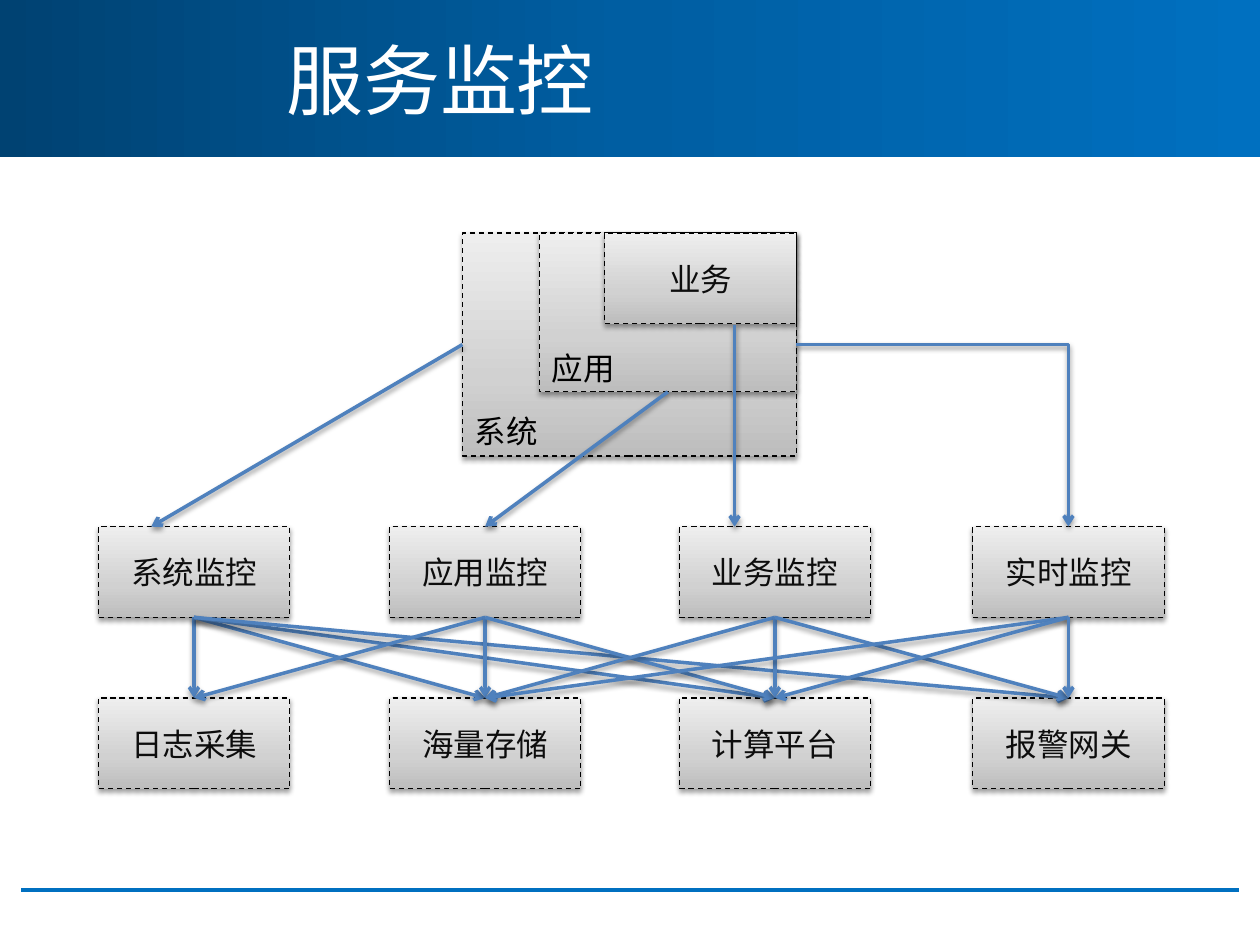
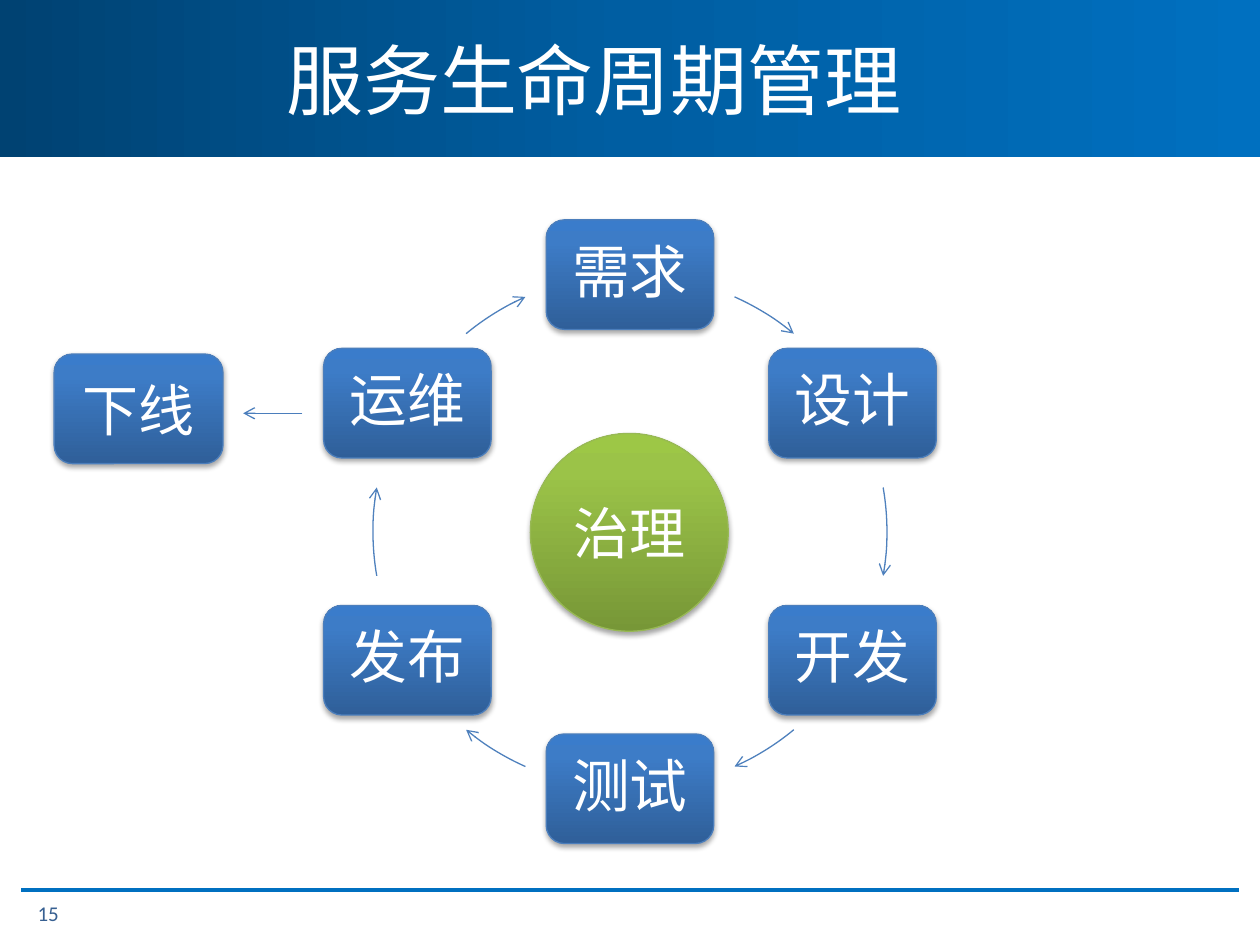
from dataclasses import dataclass
from math import cos, radians, sin

from lxml import etree
from pptx import Presentation
from pptx.dml.color import RGBColor
from pptx.enum.dml import MSO_LINE
from pptx.enum.shapes import MSO_CONNECTOR, MSO_SHAPE
from pptx.enum.text import MSO_ANCHOR, PP_ALIGN
from pptx.oxml.ns import qn
from pptx.util import Inches, Pt

RECT, ROUNDED, OVAL, ARC = (MSO_SHAPE.RECTANGLE, MSO_SHAPE.ROUNDED_RECTANGLE,
                            MSO_SHAPE.OVAL, MSO_SHAPE.ARC)
STRAIGHT, ELBOW = MSO_CONNECTOR.STRAIGHT, MSO_CONNECTOR.ELBOW
LEFT, CENTER, MIDDLE, DASH = PP_ALIGN.LEFT, PP_ALIGN.CENTER, MSO_ANCHOR.MIDDLE, MSO_LINE.DASH
TOP_SIDE, LEFT_SIDE, BOTTOM_SIDE, RIGHT_SIDE = range(4)


@dataclass(frozen=True)
class Theme:
    font = "Calibri"
    title_size, stage_size, hub_size, block_size, page_size = 44, 33, 32, 18, 12
    white, black, ink, page = "FFFFFF", "000000", "0D0D0D", "376092"
    rule, flow = "0070C0", "4F81BD"
    # stops, angle counted anticlockwise, outline, shadow opacity in percent
    band = dict(stops=((0, "004272"), (50, "005EA2"), (100, "0070C0")), angle=0,
                outline=None, shadow=0)
    grey = dict(stops=((0, "BDBDBD"), (35, "D1D1D1"), (100, "EEEEEE")), angle=90,
                outline=dict(color=black, width=0.75, dash=DASH), shadow=38)
    blue = dict(stops=((0, "2F5F99"), (80, "3D7CC7"), (100, "3A7CCB")), angle=90,
                outline=dict(color="4B7EBC", width=0.75), shadow=35)
    green = dict(stops=((0, "779737"), (80, "9BC348"), (100, "9DC746")), angle=90,
                 outline=dict(color="98B955", width=0.75), shadow=35)
    link = dict(color=flow, width=2, arrow=True)
    thin_link = dict(color=flow, width=0.75, arrow=True)
    retire_link = dict(color="4B7EBC", width=0.75, arrow=True)


THEME = Theme()


def draw_style(shape, outline, shadow=0, stops=(), angle=0):
    """Apply gradient, outline, arrowhead and shadow to a shape or connector."""
    properties = shape.element.spPr
    if stops:
        shape.fill.gradient()
        shape.fill.gradient_angle = angle
        stop_list = properties.find(qn("a:gradFill")).find(qn("a:gsLst"))
        stop_list.clear()
        for position, color in stops:
            stop = etree.SubElement(stop_list, qn("a:gs"), pos=str(position * 1000))
            etree.SubElement(stop, qn("a:srgbClr"), val=color)
    if outline:
        shape.line.color.rgb = RGBColor.from_string(outline["color"])
        shape.line.width = Pt(outline["width"])
        if "dash" in outline:
            shape.line.dash_style = outline["dash"]
        if outline.get("arrow"):
            etree.SubElement(properties.find(qn("a:ln")), qn("a:tailEnd"), type="arrow")
    else:
        shape.line.fill.background()
    effects = etree.SubElement(properties, qn("a:effectLst"))
    if shadow:
        cast = etree.SubElement(effects, qn("a:outerShdw"), blurRad=str(Pt(3.1)),
                                dist=str(Pt(1.7)), dir="5400000", rotWithShape="0")
        color = etree.SubElement(cast, qn("a:srgbClr"), val=THEME.black)
        etree.SubElement(color, qn("a:alpha"), val=str(shadow * 1000))


def write(shape, text, size, color, align=CENTER, anchor=MIDDLE, spacing=None, wrap=True):
    frame = shape.text_frame
    frame.word_wrap, frame.vertical_anchor = wrap, anchor
    paragraph = frame.paragraphs[0]
    paragraph.text = text
    paragraph.alignment, paragraph.line_spacing = align, spacing
    for name, value in dict(name=THEME.font, size=Pt(size), bold=False).items():
        setattr(paragraph.font, name, value)
    paragraph.font.color.rgb = RGBColor.from_string(color)


prs = Presentation()
prs.slide_width, prs.slide_height = Inches(10), Inches(7.5)
layout = prs.slide_layouts[5]
monitoring, lifecycle = [prs.slides.add_slide(layout) for _ in range(2)]

# Band and footer rule live on the layout, behind the titles
band = monitoring.shapes.add_shape(RECT, 0, 0, Inches(10), Inches(1.25))
draw_style(band, **THEME.band)
footer_rule = monitoring.shapes.add_connector(
    STRAIGHT, Inches(0.17), Inches(7.06), Inches(9.83), Inches(7.06))
draw_style(footer_rule, dict(color=THEME.rule, width=2.25))
for part in (footer_rule, band):
    layout.shapes.element.insert(2, part.element)

for slide, heading in ((monitoring, "服务监控"), (lifecycle, "服务生命周期管理")):
    title = slide.shapes.title
    placement = dict(left=2.17, top=0, width=7.83, height=1.25)
    for name, value in placement.items():
        setattr(title, name, Inches(value))
    write(title, heading, THEME.title_size, THEME.white, align=LEFT)

# Slide 1: nested scopes, monitors and the platform beneath them
BLOCK_W, BLOCK_H = 1.52, 0.72
MONITOR_TOP, PLATFORM_TOP = 4.18, 5.54
columns = (0.78, 3.09, 5.39, 7.72)
monitors = ("系统监控", "应用监控", "业务监控", "实时监控")
platforms = ("日志采集", "海量存储", "计算平台", "报警网关")

blocks = [(label, left, top, BLOCK_W, BLOCK_H)
          for top, row in ((MONITOR_TOP, monitors), (PLATFORM_TOP, platforms))
          for left, label in zip(columns, row)]
blocks += [("系统", 3.67, 1.85, 2.65, 1.77), ("应用", 4.28, 1.85, 2.04, 1.26),
           ("业务", 4.8, 1.85, BLOCK_W, BLOCK_H)]
scope_labels = {"系统": (3.67, 3.22), "应用": (4.28, 2.72)}

node = {}
for label, *box in blocks:
    node[label] = monitoring.shapes.add_shape(RECT, *map(Inches, box))
    draw_style(node[label], **THEME.grey)
    if label not in scope_labels:
        write(node[label], label, THEME.block_size, THEME.ink)
for label, (left, top) in scope_labels.items():
    caption = monitoring.shapes.add_textbox(
        Inches(left), Inches(top), Inches(0.71), Inches(0.4))
    write(caption, label, THEME.block_size, THEME.black, align=LEFT,
          anchor=MSO_ANCHOR.TOP, wrap=False)

# Each end is a (block, side) pair or a free point
flows = [(STRAIGHT, ("系统", LEFT_SIDE), (1.2, MONITOR_TOP)),
         (STRAIGHT, ("应用", BOTTOM_SIDE), ("应用监控", TOP_SIDE)),
         (STRAIGHT, (5.83, 2.58), (5.83, MONITOR_TOP)),
         (ELBOW, ("系统", RIGHT_SIDE), ("实时监控", TOP_SIDE))]
uses = ((0, 1, 2, 3), (0, 1, 2), (1, 2, 3), (1, 2, 3))
flows += [(STRAIGHT, (monitor, BOTTOM_SIDE), (platforms[index], TOP_SIDE))
          for monitor, used in zip(monitors, uses) for index in used]

for route, start, end in flows:
    points = [(0, 0) if point[0] in node else point for point in (start, end)]
    flow = monitoring.shapes.add_connector(
        route, *(Inches(value) for point in points for value in point))
    for point, connect in ((start, flow.begin_connect), (end, flow.end_connect)):
        if point[0] in node:
            connect(node[point[0]], point[1])
    if route == ELBOW:
        flow.element.spPr.find(qn("a:prstGeom")).set("prst", "bentConnector2")
    draw_style(flow, THEME.link, shadow=38)

# Slide 2: six stages on a ring around the hub
CENTER_X, CENTER_Y, RADIUS = 5, 4.22, 2.04
STAGE_W, STAGE_H = 1.33, 0.87
stages = ("需求", "设计", "开发", "测试", "发布", "运维")
arcs = ((294, 309.6), (350.1, 9.9), (50.4, 66), (114, 129.6), (170.1, 189.9), (230.4, 246))

for index, (stage, sweep) in enumerate(zip(stages, arcs)):
    angle = radians(60 * index - 90)
    stage_box = lifecycle.shapes.add_shape(
        ROUNDED, Inches(CENTER_X + RADIUS * cos(angle) - STAGE_W / 2),
        Inches(CENTER_Y + RADIUS * sin(angle) - STAGE_H / 2), Inches(STAGE_W), Inches(STAGE_H))
    draw_style(stage_box, **THEME.blue)
    write(stage_box, stage, THEME.stage_size, THEME.white, spacing=0.9)
    ring_arrow = lifecycle.shapes.add_shape(
        ARC, Inches(CENTER_X - RADIUS), Inches(CENTER_Y - RADIUS),
        Inches(2 * RADIUS), Inches(2 * RADIUS))
    for end, degrees in enumerate(sweep):
        ring_arrow.adjustments[end] = degrees * 0.6  # 60000 units a degree, over 100000
    ring_arrow.fill.background()
    draw_style(ring_arrow, THEME.thin_link)

for label, kind, style, box in (("治理", OVAL, THEME.green, (4.21, 3.44, 1.57, 1.57)),
                                ("下线", ROUNDED, THEME.blue, (0.43, 2.81, 1.34, STAGE_H))):
    special = lifecycle.shapes.add_shape(kind, *map(Inches, box))
    draw_style(special, **style)
    write(special, label, THEME.hub_size, THEME.white)

retire_arrow = lifecycle.shapes.add_connector(
    STRAIGHT, Inches(2.4), Inches(3.28), Inches(1.93), Inches(3.28))
draw_style(retire_arrow, THEME.retire_link)

page_number = lifecycle.shapes.add_textbox(Inches(0.2), Inches(7.05), Inches(1.1), Inches(0.4))
write(page_number, "15", THEME.page_size, THEME.page, align=LEFT)

prs.save("out.pptx")
